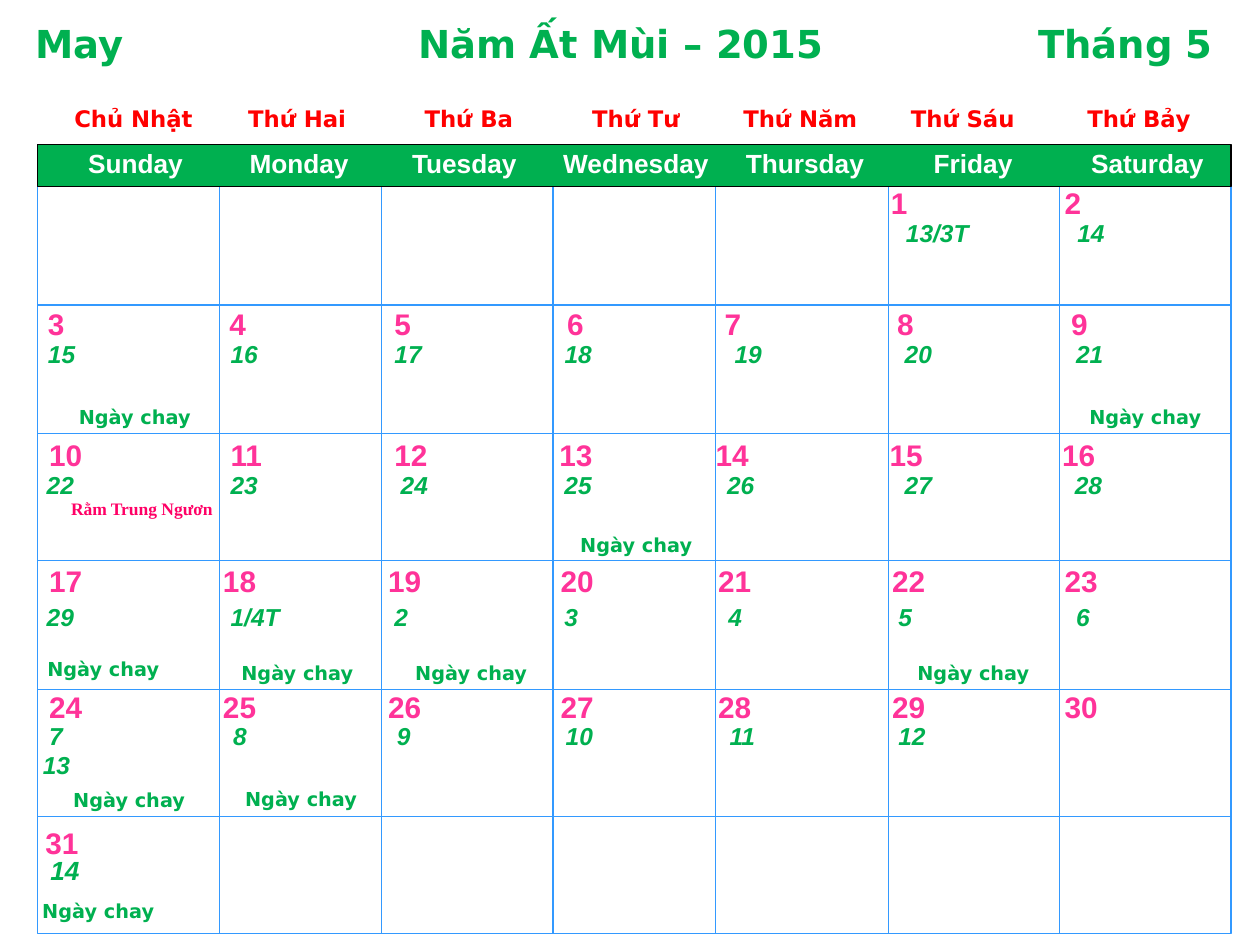
from dataclasses import dataclass
from typing import Optional, Sequence

from lxml import etree
from pptx import Presentation
from pptx import util as u
from pptx.dml.color import RGBColor
from pptx.enum import shapes, text
from pptx.oxml import ns

# Month grid: edges of the columns and rows, in inches
COLUMNS = (0.3, 1.74, 3.03, 4.39, 5.68, 7.05, 8.41, 9.77)
ROWS = (1.48, 2.42, 3.44, 4.45, 5.47, 6.48, 7.41)
HEADER_TOP = 1.15
INSET = 0.09

GREEN, PINK, BLUE = "00B050", "FF3399", "3399FF"
RED, ROSE, WHITE, BLACK = "FF0000", "FF0066", "FFFFFF", "000000"


@dataclass
class DayRow:
    """Consecutive days: offsets are measured from each column's left edge."""
    row: int
    drop: float
    labels: str
    offsets: Sequence[float]
    first_column: int = 0
    size: float = 14


@dataclass
class Note:
    column: int
    row: int
    shift: float
    drop: float
    width: float = 1.14


SOLAR_DAYS = (
    DayRow(0, -0.06, "1 2", (0.02, 0.04), 5),
    DayRow(1, -0.04, "3 4 5 6 7 8 9", (0.08, 0.08, 0.1, 0.11, 0.07, 0.07, 0.09)),
    DayRow(2, -0.02, "10 11 12 13 14 15 16", (0.09, 0.09, 0.1, 0.05, 0, 0.01, 0.02)),
    DayRow(3, -0.03, "17 18 19 20 21 22 23", (0.09, 0.03, 0.05, 0.06, 0.02, 0.03, 0.04)),
    DayRow(4, -0.05, "24 25 26 27 28 29 30", (0.09, 0.03, 0.05, 0.06, 0.02, 0.03, 0.04)),
    DayRow(5, 0.02, "31", (0.06,)),
)
LUNAR_DAYS = (
    DayRow(0, 0.2, "13/3T 14", (0.14, 0.14), 5),
    DayRow(1, 0.22, "15 16 17 18 19 20 21", (0.08, 0.09, 0.1, 0.09, 0.15, 0.13, 0.13)),
    DayRow(2, 0.24, "22 23 24 25 26 27 28", (0.07, 0.09, 0.15, 0.09, 0.09, 0.13, 0.12)),
    DayRow(3, 0.28, "29 1/4T 2 3 4 5 6", (0.07, 0.09, 0.1, 0.09, 0.1, 0.08, 0.13)),
    DayRow(4, 0.2, "7 8 9 10 11 12", (0.09, 0.11, 0.12, 0.1, 0.11, 0.08)),
    DayRow(4, 0.43, "13", (0.04,)),
    DayRow(5, 0.25, "14", (0.1,), size=15),
)
FASTING_NOTES = (
    Note(0, 1, 0.2, 0.75), Note(6, 1, 0.11, 0.75), Note(3, 2, 0.09, 0.74),
    Note(0, 3, -0.05, 0.72), Note(1, 3, 0.05, 0.75), Note(2, 3, 0.14, 0.75),
    Note(5, 3, 0.07, 0.75, 1.21), Note(0, 4, 0.12, 0.74, 1.21),
    Note(1, 4, 0.08, 0.73), Note(0, 5, -0.09, 0.61),
)
# Weekday: Vietnamese name, its start, English name, box left, box width
WEEKDAYS = (
    ("Chủ Nhật", 0.59, "Sunday", 0.61, 0.94),
    ("Thứ Hai", 1.97, "Monday", 1.89, 0.98),
    ("Thứ Ba", 3.37, "Tuesday", 3.18, 1.02),
    ("Thứ Tư", 4.7, "Wednesday", 4.38, 1.35),
    ("Thứ Năm", 5.9, "Thursday", 5.83, 1.13),
    ("Thứ Sáu", 7.23, "Friday", 7.32, 0.82),
    ("Thứ Bảy", 8.63, "Saturday", 8.57, 1.09),
)


def colour(value: str) -> RGBColor:
    return RGBColor.from_string(value)


def add_text(slide, content: str, left: float, top: float, width: float, *,
             size: float, fill: str, font: str = "Arial", italic: bool = False,
             centred: bool = False, wrap: bool = True, tabs: Sequence[float] = ()):
    height = size * 1.2 / 72 + 0.1
    box = slide.shapes.add_textbox(*map(u.Inches, (left, top, width, height)))
    frame = box.text_frame
    frame.word_wrap = wrap
    frame.auto_size = text.MSO_AUTO_SIZE.SHAPE_TO_FIT_TEXT
    frame.margin_left = frame.margin_right = u.Inches(INSET)
    paragraph = frame.paragraphs[0]
    paragraph.alignment = text.PP_ALIGN.CENTER if centred else text.PP_ALIGN.LEFT
    if tabs:
        tab_list = etree.SubElement(paragraph._p.get_or_add_pPr(), ns.qn("a:tabLst"))
        for position in tabs:
            etree.SubElement(tab_list, ns.qn("a:tab"),
                             pos=str(u.Inches(position)), algn="l")
    run = paragraph.add_run()
    run.text = content
    run.font.name, run.font.size = font, u.Pt(size)
    run.font.bold, run.font.italic = True, italic
    run.font.color.rgb = colour(fill)


def add_tabbed(slide, labels: Sequence[str], starts: Sequence[float],
               top: float, **style) -> None:
    """One line of labels, each beginning at its own horizontal start."""
    left = starts[0] - INSET
    add_text(slide, "\t".join(labels), left, top, 9.87 - left,
             tabs=[start - starts[0] for start in starts[1:]], **style)


def add_days(slide, days: DayRow, size: float, **style) -> None:
    edges = COLUMNS[days.first_column:]
    starts = [edge + offset for edge, offset in zip(edges, days.offsets)]
    add_tabbed(slide, days.labels.split(), starts, ROWS[days.row] + days.drop,
               size=size, **style)


def add_line(slide, x1: float, y1: float, x2: float, y2: float) -> None:
    line = slide.shapes.add_connector(
        shapes.MSO_CONNECTOR.STRAIGHT, *map(u.Inches, (x1, y1, x2, y2)))
    line.line.color.rgb = colour(BLUE)
    line.line.width = u.Pt(0.75)
    etree.SubElement(line._element.spPr, ns.qn("a:effectLst"))


def add_frame(slide, top: float, bottom: float, outline: str,
              fill: Optional[str] = None) -> None:
    width = COLUMNS[-1] - COLUMNS[0]
    shape = slide.shapes.add_shape(
        shapes.MSO_SHAPE.RECTANGLE,
        *map(u.Inches, (COLUMNS[0], top, width, bottom - top)))
    shape.shadow.inherit = False
    shape.line.color.rgb = colour(outline)
    shape.line.width = u.Pt(0.75)
    if fill:
        shape.fill.solid()
        shape.fill.fore_color.rgb = colour(fill)
    else:
        shape.fill.background()


def main() -> None:
    presentation = Presentation()
    presentation.slide_width, presentation.slide_height = u.Inches(10), u.Inches(7.5)
    slide = presentation.slides.add_slide(presentation.slide_layouts[6])

    # Grid and header band
    for y in ROWS[:-1]:
        add_line(slide, COLUMNS[0], y, COLUMNS[-1], y)
    for x in COLUMNS[1:-1]:
        add_line(slide, x, ROWS[0], x, ROWS[-1])
    add_frame(slide, ROWS[0], ROWS[-1], BLUE)
    add_frame(slide, HEADER_TOP, ROWS[0], BLACK, GREEN)

    # Title and weekday names
    add_tabbed(slide, ("May", "Năm Ất Mùi – 2015", "Tháng 5"), (0.28, 3.32, 8.24),
               0.11, size=22, fill=GREEN, font="DejaVu Sans")
    add_tabbed(slide, [day[0] for day in WEEKDAYS], [day[1] for day in WEEKDAYS],
               0.78, size=13, fill=RED, font="DejaVu Sans")
    for _, _, name, left, width in WEEKDAYS:
        add_text(slide, name, left, 1.12, width, size=15, fill=WHITE, wrap=False)

    # Solar and lunar dates
    for days in SOLAR_DAYS:
        add_days(slide, days, 17, fill=PINK)
    for days in LUNAR_DAYS:
        add_days(slide, days, days.size, fill=GREEN, italic=True)

    # Fasting days and the festival
    for note in FASTING_NOTES:
        add_text(slide, "Ngày chay", COLUMNS[note.column] + note.shift,
                 ROWS[note.row] + note.drop, note.width, size=11, fill=GREEN,
                 font="DejaVu Sans", centred=True)
    add_text(slide, "Rằm Trung Ngươn", 0.25, 3.9, 1.75, size=10, fill=ROSE,
             font="Times New Roman", centred=True)

    presentation.save("out.pptx")


if __name__ == "__main__":
    main()
